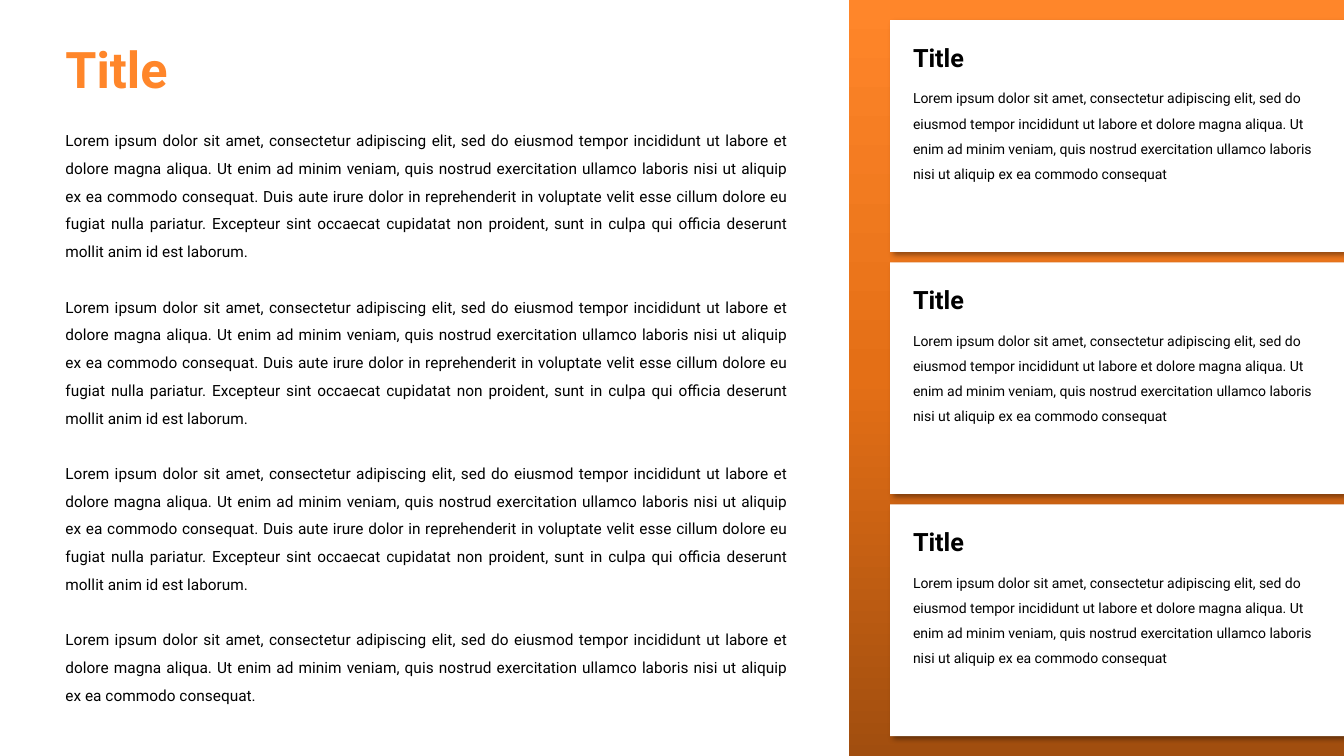
from copy import deepcopy

from pptx import Presentation
from pptx.dml.color import RGBColor
from pptx.enum.shapes import MSO_SHAPE
from pptx.enum.text import MSO_AUTO_SIZE, PP_ALIGN
from pptx.oxml import parse_xml
from pptx.oxml.ns import nsdecls, qn
from pptx.util import Cm, Pt

FONT = "Roboto"
BLACK, WHITE, ORANGE = "000000", "FFFFFF", "FF862A"
PANEL_STOPS = [(0, "A14E0F"), (0.5, "E46F16"), (1, ORANGE)]

SHORT_TEXT = (
    "Lorem ipsum dolor sit amet, consectetur adipiscing elit, sed do eiusmod "
    "tempor incididunt ut labore et dolore magna aliqua. Ut enim ad minim veniam, "
    "quis nostrud exercitation ullamco laboris nisi ut aliquip ex ea commodo consequat"
)
LONG_TEXT = SHORT_TEXT + (
    ". Duis aute irure dolor in reprehenderit in voluptate velit esse cillum "
    "dolore eu fugiat nulla pariatur. Excepteur sint occaecat cupidatat non "
    "proident, sunt in culpa qui officia deserunt mollit anim id est laborum."
)
ARTICLE = [LONG_TEXT] * 3 + [SHORT_TEXT + "."]

CARD_COUNT = 3
CARD_LEFT, CARD_TOP, CARD_STEP = 22.43, 0.51, 6.1
CARD_WIDTH, CARD_HEIGHT = 11.44, 5.84


def color(value):
    return RGBColor.from_string(value)


def add_rectangle(shapes, left, top, width, height):
    rectangle = shapes.add_shape(
        MSO_SHAPE.RECTANGLE, Cm(left), Cm(top), Cm(width), Cm(height))
    rectangle.shadow.inherit = False
    rectangle.line.fill.background()
    return rectangle


def fill_gradient(shape, stops):
    """Fill a shape with stops that run from its bottom to its top."""
    shape.fill.gradient()
    shape.fill.gradient_angle = 90
    stop_list = shape.fill._xPr.find(".//" + qn("a:gsLst"))
    while len(stop_list) < len(stops):
        stop_list.append(deepcopy(stop_list[0]))
    for stop, (position, value) in zip(shape.fill.gradient_stops, stops):
        stop.position = position
        stop.color.rgb = color(value)


def add_shadow(shape):
    effects = shape._element.spPr.find(qn("a:effectLst"))
    effects.append(parse_xml(
        f'<a:outerShdw {nsdecls("a")} blurRad="{Pt(4)}" dist="{Pt(3)}" '
        f'dir="2700000" algn="tl" rotWithShape="0"><a:srgbClr val="{BLACK}">'
        '<a:alpha val="40000"/></a:srgbClr></a:outerShdw>'))


def add_text(shapes, left, top, width, height, texts, size, value=BLACK,
             bold=False, align=PP_ALIGN.LEFT, spacing=1.0, gap=0):
    box = shapes.add_textbox(Cm(left), Cm(top), Cm(width), Cm(height))
    frame = box.text_frame
    frame.word_wrap = True
    frame.auto_size = MSO_AUTO_SIZE.SHAPE_TO_FIT_TEXT
    frame.text = "\n".join(texts)
    for index, para in enumerate(frame.paragraphs):
        para.alignment = align
        para.line_spacing = spacing
        if index:
            para.space_before = Pt(gap)
        for span in para.runs:
            span.font.name = FONT
            span.font.size = Pt(size)
            span.font.bold = bold
            span.font.color.rgb = color(value)


def add_card(page, top):
    shapes = page.shapes.add_group_shape().shapes
    card = add_rectangle(shapes, CARD_LEFT, top, CARD_WIDTH, CARD_HEIGHT)
    card.fill.solid()
    card.fill.fore_color.rgb = color(WHITE)
    add_shadow(card)
    text_left = CARD_LEFT + 0.33
    add_text(shapes, text_left, top + 1.42, 10.72, 3.25, [SHORT_TEXT], 10,
             spacing=1.5)
    add_text(shapes, text_left, top + 0.43, 5.69, 1.02, ["Title"], 18, bold=True)


def main():
    deck = Presentation()
    deck.slide_width, deck.slide_height = Cm(33.87), Cm(19.05)
    page = deck.slides.add_slide(deck.slide_layouts[6])

    # Orange panel with its cards
    panel = add_rectangle(page.shapes, 21.39, 0, 12.48, 19.05)
    fill_gradient(panel, PANEL_STOPS)
    for index in range(CARD_COUNT):
        add_card(page, CARD_TOP + index * CARD_STEP)

    # Main title and article
    add_text(page.shapes, 1.4, 0.84, 10.44, 1.8, ["Title"], 36, ORANGE, bold=True)
    add_text(page.shapes, 1.4, 2.95, 18.72, 14.99, ARTICLE, 11,
             align=PP_ALIGN.JUSTIFY, spacing=1.5, gap=19.8)

    deck.save("out.pptx")


if __name__ == "__main__":
    main()
